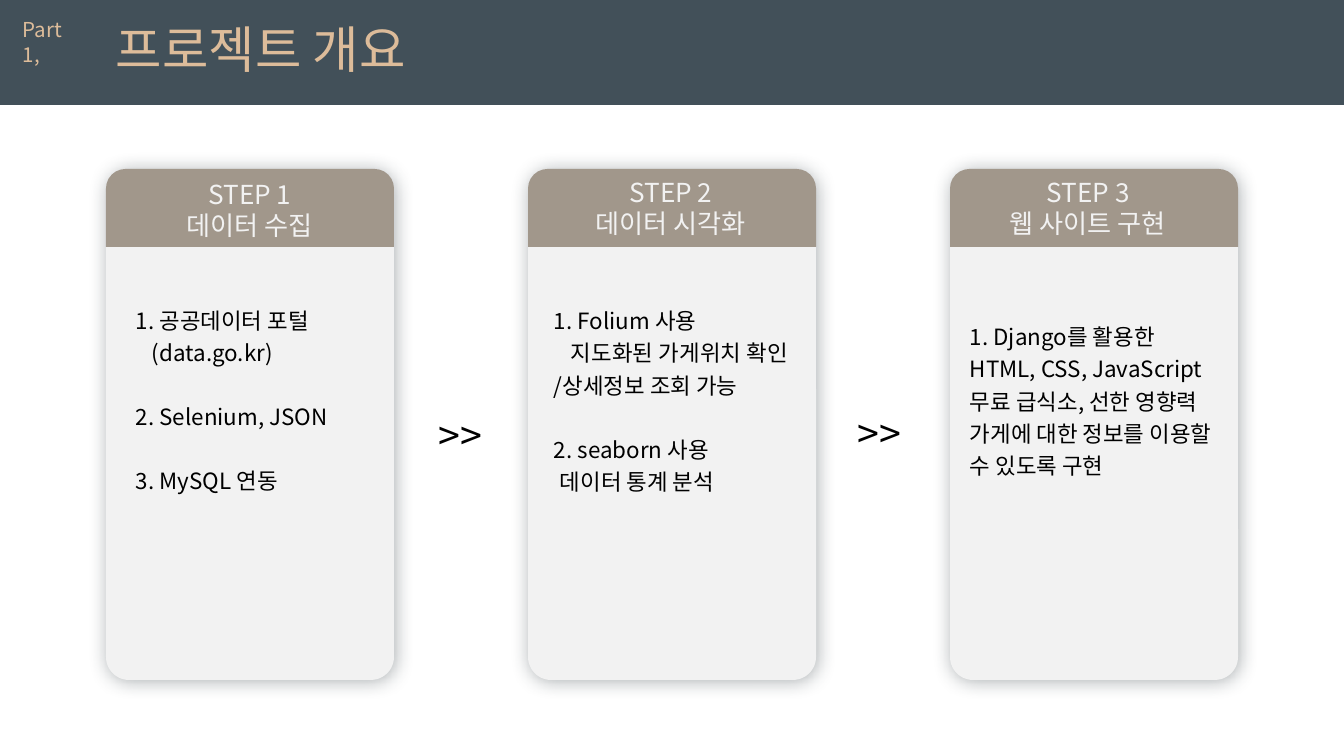
import pptx
import pptx.dml.color
import pptx.enum.shapes
import pptx.enum.text
import pptx.oxml
import pptx.oxml.ns
import pptx.util
from lxml import etree

PX = 914400 / 134.4
THEME = {
    "font": "Noto Sans CJK KR",
    "band": "425059", "title": "DDBC9A", "card": "F2F2F2",
    "cap": "A1978B", "cap_text": "F2F2F2", "ink": "000000", "shadow": "313C42",
    "title_size": 27, "part_size": 11, "step_size": 14, "body_size": 12, "arrow_size": 21,
}
SHAPES = pptx.enum.shapes.MSO_SHAPE
ALIGN = pptx.enum.text.PP_ALIGN

presentation = pptx.Presentation()
presentation.slide_width = round(1344 * PX)
presentation.slide_height = round(756 * PX)
slide = presentation.slides.add_slide(presentation.slide_layouts[6])


def add_box(kind, box, color, adjustments=()):
    shape = slide.shapes.add_shape(kind, *(round(v * PX) for v in box))
    shape.shadow.inherit = False
    shape.fill.solid()
    shape.fill.fore_color.rgb = pptx.dml.color.RGBColor.from_string(color)
    shape.line.fill.background()
    for index, value in enumerate(adjustments):
        shape.adjustments[index] = value
    return shape


def add_text(box, text, size, color, align=ALIGN.LEFT, line_spacing=None):
    shape = slide.shapes.add_textbox(*(round(v * PX) for v in box))
    text_frame = shape.text_frame
    text_frame.word_wrap = True
    text_frame.margin_left = text_frame.margin_right = round(10 * PX)
    text_frame.margin_top = text_frame.margin_bottom = round(5 * PX)
    text_frame.text = text
    for paragraph in text_frame.paragraphs:
        paragraph.alignment = align
        if line_spacing:
            paragraph.line_spacing = line_spacing
        for run in paragraph.runs:
            run.font.name = THEME["font"]
            run.font.size = pptx.util.Pt(size)
            run.font.color.rgb = pptx.dml.color.RGBColor.from_string(color)
            east_asian = etree.SubElement(run.font._element, pptx.oxml.ns.qn("a:ea"))
            east_asian.set("typeface", THEME["font"])
    return text_frame


# Title band
add_box(SHAPES.RECTANGLE, (0, 0, 1344, 105), THEME["band"])
add_text((106, 13, 453, 71), "프로젝트 개요", THEME["title_size"], THEME["title"])
add_text((13, 12, 78, 60), "Part 1,", THEME["part_size"], THEME["title"])

# Step cards: heading and body boxes, first-line indents and paragraphs after a gap
steps = [
    {"heading": "STEP 1\n데이터 수집", "heading_box": (164, 173, 172, 74),
     "body": "1. 공공데이터 포털\n(data.go.kr)\n2. Selenium, JSON\n3. MySQL 연동",
     "body_box": (126, 297, 247, 180), "align": ALIGN.JUSTIFY,
     "indents": {1: 16}, "gaps": (2, 3)},
    {"heading": "STEP 2\n데이터 시각화", "heading_box": (560, 171, 222, 74),
     "body": "1. Folium 사용\n지도화된 가게위치 확인 /상세정보 조회 가능\n"
             "2. seaborn 사용\n데이터 통계 분석",
     "body_box": (544, 297, 254, 204), "align": ALIGN.JUSTIFY,
     "indents": {1: 17, 3: 6}, "gaps": (2,)},
    {"heading": "STEP 3\n웹 사이트 구현", "heading_box": (982, 171, 212, 74),
     "body": "1. Django를 활용한\nHTML, CSS, JavaScript\n무료 급식소, 선한 영향력\n"
             "가게에 대한 정보를 이용할 수 있도록 구현",
     "body_box": (960, 313, 269, 173), "align": ALIGN.LEFT,
     "indents": {}, "gaps": ()},
]
shadow_xml = (
    f'<a:effectLst {pptx.oxml.ns.nsdecls("a")}>'
    '<a:outerShdw blurRad="127000" dist="12700" dir="2700000" algn="tl" rotWithShape="0">'
    f'<a:srgbClr val="{THEME["shadow"]}"><a:alpha val="40000"/></a:srgbClr>'
    '</a:outerShdw></a:effectLst>'
)
for number, step in enumerate(steps):
    left = 106 + 422 * number
    card = add_box(SHAPES.ROUNDED_RECTANGLE, (left, 169, 288, 511), THEME["card"], (0.08,))
    properties = card._element.spPr
    properties.replace(properties.find(pptx.oxml.ns.qn("a:effectLst")),
                       pptx.oxml.parse_xml(shadow_xml))
    add_box(SHAPES.ROUND_2_SAME_RECTANGLE, (left, 169, 288, 78), THEME["cap"], (0.25, 0))
    add_text(step["heading_box"], step["heading"], THEME["step_size"],
             THEME["cap_text"], ALIGN.CENTER)
    body = add_text(step["body_box"], step["body"], THEME["body_size"],
                    THEME["ink"], step["align"], 1.2)
    for index, indent in step["indents"].items():
        body.paragraphs[index]._p.get_or_add_pPr().set("indent", str(round(indent * PX)))
    for index in step["gaps"]:
        body.paragraphs[index].space_before = pptx.util.Pt(17)

# Arrows between the cards
for left, top in ((429, 406), (848, 404)):
    add_text((left, top, 67, 58), ">>", THEME["arrow_size"], THEME["ink"])

presentation.save("out.pptx")
